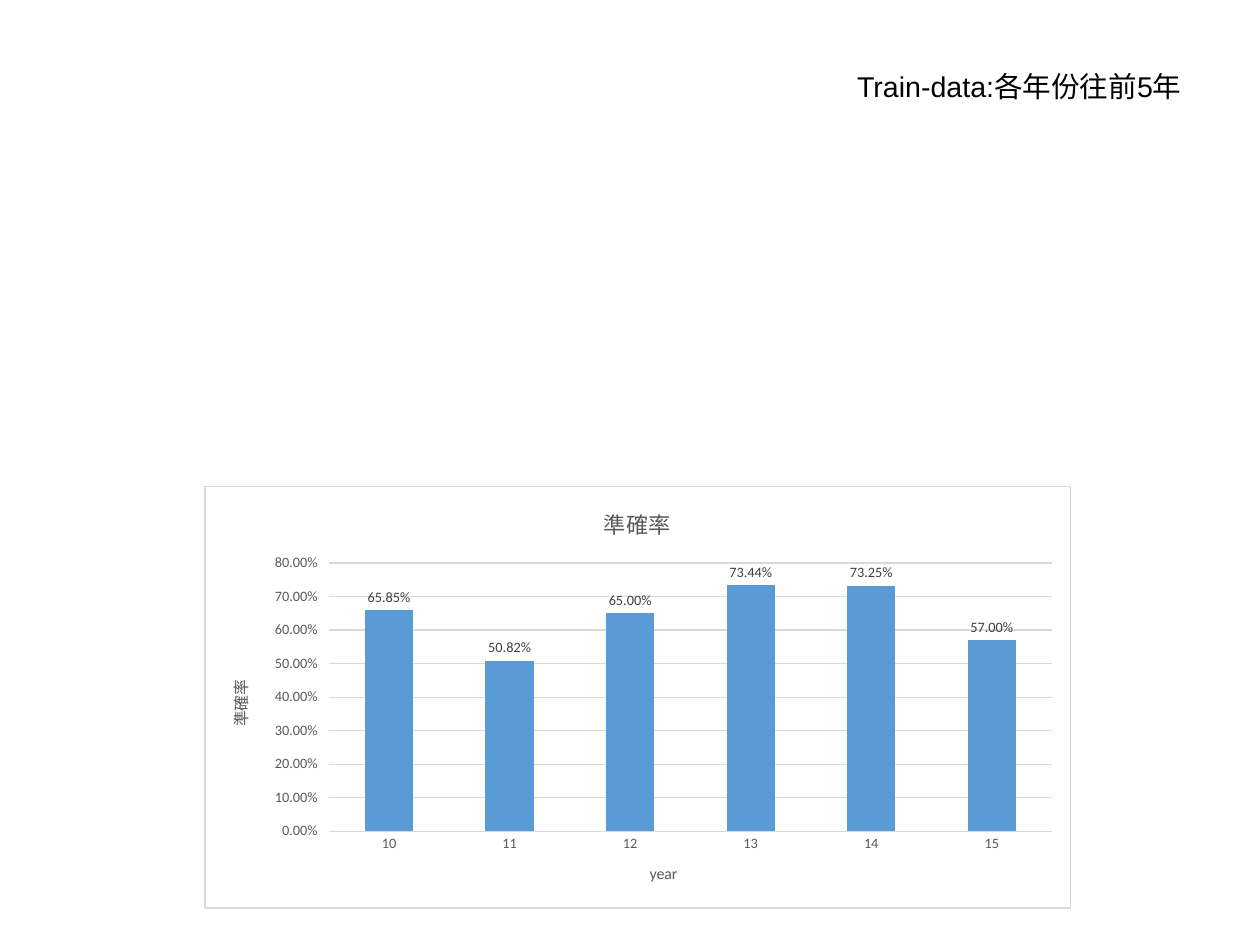
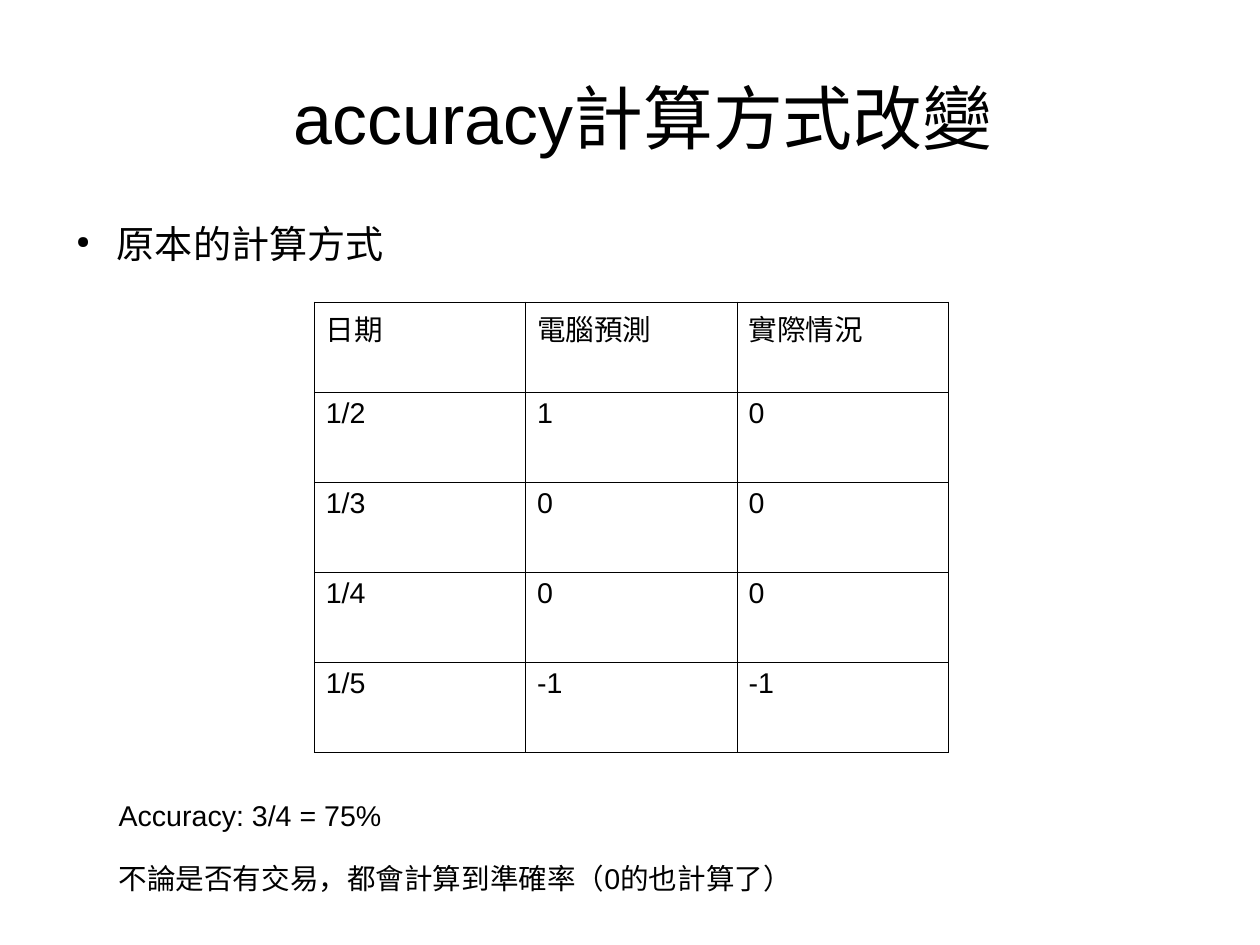
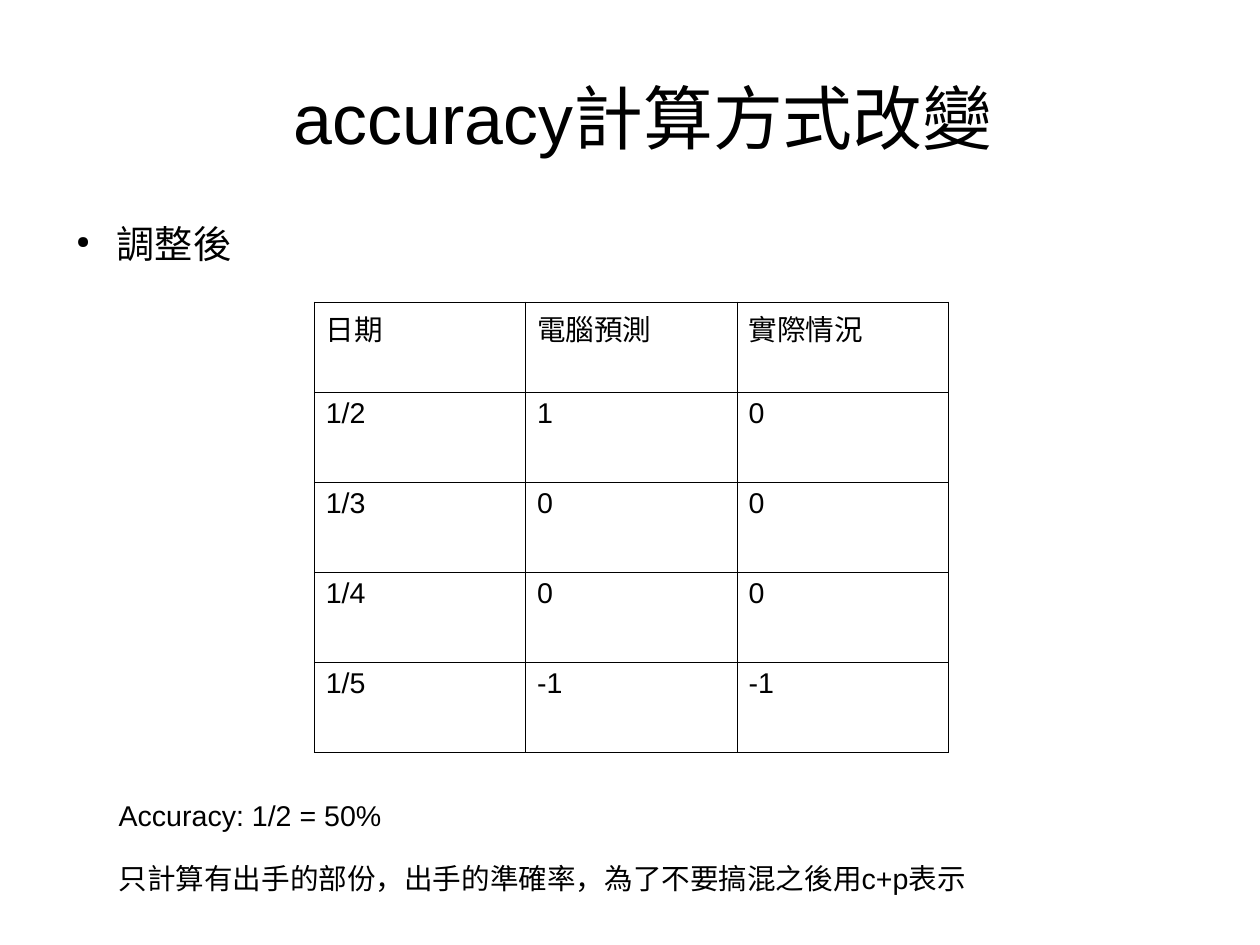
from dataclasses import dataclass

from pptx import Presentation
from pptx.chart.data import CategoryChartData
from pptx.dml.color import RGBColor
from pptx.enum.chart import XL_CHART_TYPE, XL_LABEL_POSITION, XL_TICK_MARK
from pptx.enum.text import MSO_ANCHOR, PP_ALIGN
from pptx.oxml import parse_xml
from pptx.oxml.ns import nsdecls, qn
from pptx.util import Pt

COLUMNS = XL_CHART_TYPE.COLUMN_CLUSTERED
OUTSIDE_END = XL_LABEL_POSITION.OUTSIDE_END
TICK_NONE, TICK_OUT = XL_TICK_MARK.NONE, XL_TICK_MARK.OUTSIDE
TOP, MIDDLE = MSO_ANCHOR.TOP, MSO_ANCHOR.MIDDLE
LEFT, CENTER = PP_ALIGN.LEFT, PP_ALIGN.CENTER


@dataclass(frozen=True)
class Theme:
    font: str = "Arial"
    chart_font: str = "Calibri"
    ink: str = "000000"
    paper: str = "FFFFFF"
    axis_ink: str = "595959"
    label_ink: str = "404040"
    rule: str = "D9D9D9"
    bar: str = "5B9BD5"
    title: float = 44
    bullet: float = 24
    body: float = 18
    chart_title: float = 14
    axis_title: float = 10
    tick: float = 9
    hairline: float = 0.74
    border: float = 0.57


THEME = Theme()
SLIDE_SIZE = (793.7, 595.3)
INSET = (7.2, 3.6)

# Boxes: left, top, width, height
CAPTION_BOX = (532.8, 39.6, 244.1, 33.1)
CHART_BOX = (128.8, 306, 545.8, 266.4)
TITLE_BOX = (39.6, 23.8, 714.2, 99.4)
BULLET_BOX = (39.6, 139, 714.2, 344.9)
TABLE_BOX = (198, 190.2, 399.6, 283.5)
RESULT_BOX = (67.7, 499, 595.4, 27.4)
REMARK_BOX = (67.7, 538.6, 595.4, 33.1)

ACCURACY_BY_YEAR = {"10": 0.6585, "11": 0.5082, "12": 0.65,
                    "13": 0.7344, "14": 0.7325, "15": 0.57}
PREDICTIONS = [
    ("日期", "電腦預測", "實際情況"),
    ("1/2", "1", "0"),
    ("1/3", "0", "0"),
    ("1/4", "0", "0"),
    ("1/5", "-1", "-1"),
]
METHODS = [
    ("原本的計算方式", "Accuracy: 3/4 = 75%",
     "不論是否有交易，都會計算到準確率（0的也計算了）"),
    ("調整後", "Accuracy: 1/2 = 50%",
     "只計算有出手的部份，出手的準確率，為了不要搞混之後用c+p表示"),
]


def apply(target, formats):
    for name, value in formats.items():
        setattr(target, name, value)


def style_font(font, size, color=THEME.ink, name=THEME.font):
    apply(font, {"size": Pt(size), "name": name, "bold": False})
    font.color.rgb = RGBColor.from_string(color)


def style_line(line, color=THEME.rule, width=THEME.hairline):
    line.color.rgb = RGBColor.from_string(color)
    line.width = Pt(width)


def add_text(slide, box, text, size=THEME.body, inset=INSET, anchor=TOP, align=LEFT):
    frame = slide.shapes.add_textbox(*map(Pt, box)).text_frame
    side, edge = map(Pt, inset)
    apply(frame, {"word_wrap": True, "vertical_anchor": anchor,
                  "margin_left": side, "margin_right": side,
                  "margin_top": edge, "margin_bottom": edge})
    paragraph = frame.paragraphs[0]
    paragraph.alignment = align
    run = paragraph.add_run()
    run.text = text
    style_font(run.font, size)
    return paragraph


def indent(paragraph, left, first=0):
    properties = paragraph._p.get_or_add_pPr()
    properties.set("marL", str(Pt(left)))
    properties.set("indent", str(Pt(first)))
    return properties


def add_heading(slide, box, text):
    heading = add_text(slide, box, text, THEME.title, (0, 0), MIDDLE, CENTER)
    indent(heading, 17)


def add_bullet(slide, box, text):
    point = add_text(slide, box, text, THEME.bullet, (0, 0))
    point.space_before = Pt(10.6)
    properties = indent(point, 34, -25.5)
    for bullet_part in (
        f'<a:buClr {nsdecls("a")}><a:srgbClr val="{THEME.ink}"/></a:buClr>',
        f'<a:buSzPct {nsdecls("a")} val="45000"/>',
        f'<a:buChar {nsdecls("a")} char="●"/>',
    ):
        properties.append(parse_xml(bullet_part))


def outline_cell(cell):
    properties = cell._tc.get_or_add_tcPr()
    for place, side in enumerate("LRTB"):
        properties.insert(place, parse_xml(
            f'<a:ln{side} {nsdecls("a")} w="{Pt(THEME.border)}"><a:solidFill>'
            f'<a:srgbClr val="{THEME.ink}"/></a:solidFill></a:ln{side}>'))


def add_predictions(slide, box, rows):
    table = slide.shapes.add_table(len(rows), len(rows[0]), *map(Pt, box)).table
    apply(table, {"first_row": False, "horz_banding": False})
    for row, values in enumerate(rows):
        for column, value in enumerate(values):
            cell = table.cell(row, column)
            cell.text = value
            cell.fill.background()
            style_font(cell.text_frame.paragraphs[0].runs[0].font, THEME.body)
            outline_cell(cell)


def set_chart_title(title, text, size):
    title.text_frame.text = text
    style_font(title.text_frame.paragraphs[0].runs[0].font, size,
               THEME.axis_ink, THEME.chart_font)


def frame_chart(chart):
    # Background and border of the whole chart
    chart_space = chart.element
    chart_space.find(qn("c:chart")).addnext(parse_xml(
        f'<c:spPr {nsdecls("c", "a")}>'
        f'<a:solidFill><a:srgbClr val="{THEME.paper}"/></a:solidFill>'
        f'<a:ln w="{Pt(THEME.hairline)}"><a:solidFill>'
        f'<a:srgbClr val="{THEME.rule}"/></a:solidFill></a:ln></c:spPr>'))
    # Plot position as fractions of the chart
    plot_area = chart_space.find(qn("c:chart")).find(qn("c:plotArea"))
    for layout in plot_area.findall(qn("c:layout")):
        plot_area.remove(layout)
    fractions = "".join(f'<c:{key} val="{value}"/>' for key, value in
                        {"x": 0.143, "y": 0.182, "w": 0.836, "h": 0.636}.items())
    plot_area.insert(0, parse_xml(
        f'<c:layout {nsdecls("c")}><c:manualLayout><c:layoutTarget val="inner"/>'
        f'<c:xMode val="edge"/><c:yMode val="edge"/>{fractions}'
        f'</c:manualLayout></c:layout>'))


def add_accuracy_chart(slide, box, accuracy):
    data = CategoryChartData(number_format="0.00%")
    data.categories = list(accuracy)
    data.add_series("準確率", list(accuracy.values()))
    chart = slide.shapes.add_chart(COLUMNS, *map(Pt, box), data).chart
    style_font(chart.font, THEME.axis_title)
    apply(chart, {"has_legend": False, "has_title": True})
    set_chart_title(chart.chart_title, "準確率", THEME.chart_title)
    frame_chart(chart)

    # Axes
    years, rates = chart.category_axis, chart.value_axis
    for axis, title, tick in ((years, "year", TICK_NONE), (rates, "準確率", TICK_OUT)):
        apply(axis, {"major_tick_mark": tick, "minor_tick_mark": TICK_NONE})
        set_chart_title(axis.axis_title, title, THEME.axis_title)
        style_font(axis.tick_labels.font, THEME.tick, THEME.axis_ink, THEME.chart_font)
    style_line(years.format.line)
    apply(rates, {"minimum_scale": 0, "maximum_scale": 0.8, "major_unit": 0.1,
                  "has_major_gridlines": True})
    apply(rates.tick_labels, {"number_format": "0.00%", "number_format_is_linked": False})
    rates.format.line.fill.background()
    style_line(rates.major_gridlines.format.line)

    # Columns and their values
    plot = chart.plots[0]
    apply(plot, {"gap_width": 150, "vary_by_categories": False})
    columns = plot.series[0]
    columns.format.fill.solid()
    columns.format.fill.fore_color.rgb = RGBColor.from_string(THEME.bar)
    labels = columns.data_labels
    apply(labels, {"show_value": True, "position": OUTSIDE_END,
                   "number_format": "0.00%", "number_format_is_linked": False})
    style_font(labels.font, THEME.tick, THEME.label_ink, THEME.chart_font)


def build_chart_slide(slide):
    add_accuracy_chart(slide, CHART_BOX, ACCURACY_BY_YEAR)
    add_text(slide, CAPTION_BOX, "Train-data:各年份往前5年")


def build_method_slide(slide, method, result, remark):
    add_heading(slide, TITLE_BOX, "accuracy計算方式改變")
    add_bullet(slide, BULLET_BOX, method)
    add_predictions(slide, TABLE_BOX, PREDICTIONS)
    add_text(slide, RESULT_BOX, result)
    add_text(slide, REMARK_BOX, remark)


deck = Presentation()
deck.slide_width, deck.slide_height = map(Pt, SLIDE_SIZE)
blank = deck.slide_layouts[6]
build_chart_slide(deck.slides.add_slide(blank))
for method_texts in METHODS:
    build_method_slide(deck.slides.add_slide(blank), *method_texts)
deck.save("out.pptx")
